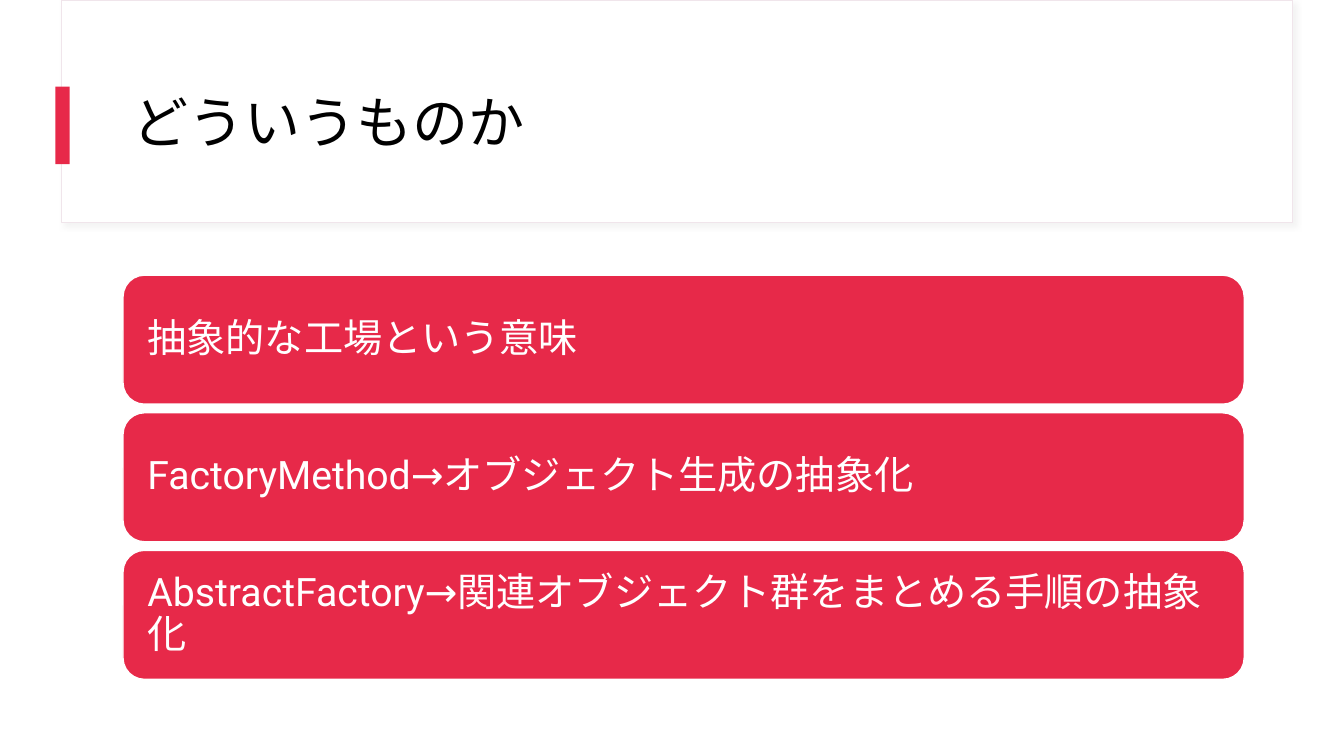
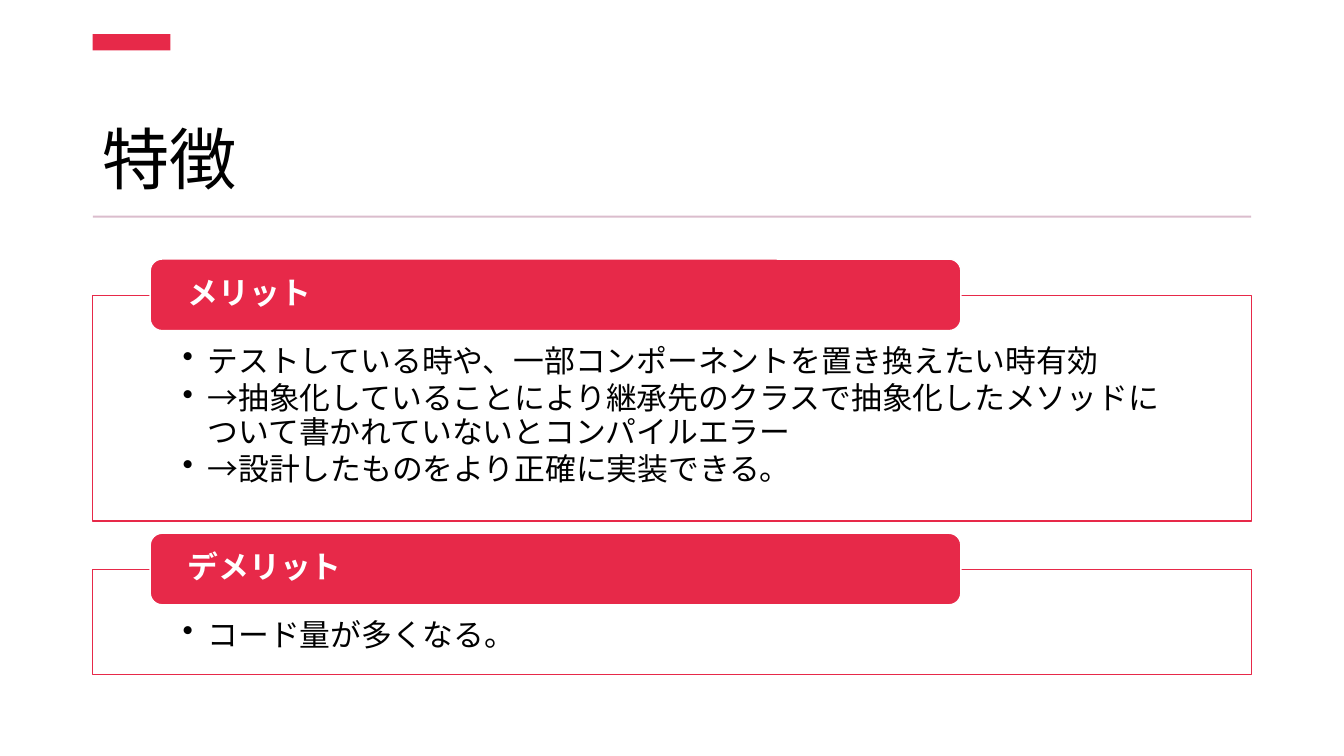
import pptx
import pptx.util
import pptx.dml.color
import pptx.enum.dml
import pptx.enum.lang
import pptx.enum.shapes
import pptx.enum.text
import pptx.oxml
import pptx.oxml.ns
from lxml import etree

Inches = pptx.util.Inches
Pt = pptx.util.Pt
Kind = pptx.enum.shapes.MSO_SHAPE
Anchor = pptx.enum.text.MSO_ANCHOR
qn = pptx.oxml.ns.qn


class Theme:
    font = "Roboto"
    red = "E72949"
    white = "FFFFFF"
    black = "000000"
    edge = "F0E5EB"
    rule = "DBBDCD"
    shade = "D9D9D9"
    title = 40
    head = 48
    bar = 28
    body = 22


def color(code):
    return pptx.dml.color.RGBColor.from_string(code)


def write(shape, lines, size, ink=Theme.black, bold=False, anchor=Anchor.MIDDLE,
          pad=(0.1, 0.05, 0.1, 0.05), bullet=None, after=0):
    frame = shape.text_frame
    frame.word_wrap = True
    frame.vertical_anchor = anchor
    left, top, right, bottom = (Inches(side) for side in pad)
    frame.margin_left, frame.margin_top = left, top
    frame.margin_right, frame.margin_bottom = right, bottom
    for index, line in enumerate(lines):
        para = frame.add_paragraph() if index else frame.paragraphs[0]
        para.alignment = pptx.enum.text.PP_ALIGN.LEFT
        para.line_spacing = 0.9
        para.space_after = Pt(after)
        if bullet:
            props = para._p.get_or_add_pPr()
            props.set("marL", str(Inches(0.25)))
            props.set("indent", str(-Inches(0.25)))
            etree.SubElement(props, qn("a:buChar")).set("char", bullet)
        run = para.add_run()
        run.text = line
        font = run.font
        font.name, font.size, font.bold = Theme.font, Pt(size), bold
        font.color.rgb = color(ink)
        font.language_id = pptx.enum.lang.MSO_LANGUAGE_ID.JAPANESE
        east = etree.SubElement(run._r.get_or_add_rPr(), qn("a:ea"))
        east.set("typeface", Theme.font)


class Deck:
    def __init__(self):
        self.show = pptx.Presentation()
        self.show.slide_width = Inches(13.33)
        self.show.slide_height = Inches(7.5)
        self.slide = None

    def page(self):
        self.slide = self.show.slides.add_slide(self.show.slide_layouts[6])

    def box(self, area, fill, line=None, width=1, kind=Kind.RECTANGLE):
        shape = self.slide.shapes.add_shape(kind, *(Inches(n) for n in area))
        shape.shadow.inherit = False
        shape.fill.solid()
        shape.fill.fore_color.rgb = color(fill)
        if line:
            shape.line.color.rgb = color(line)
            shape.line.width = Pt(width)
        else:
            shape.line.fill.background()
        return shape

    def panel(self, area):
        shape = self.box(area, Theme.white, Theme.edge, 0.75)
        effects = shape._element.spPr.find(qn("a:effectLst"))
        shade = etree.SubElement(effects, qn("a:outerShdw"), blurRad=str(Pt(4)),
                                 dist=str(Pt(3)), dir=str(45 * 60000))
        tone = etree.SubElement(shade, qn("a:srgbClr"), val=Theme.shade)
        etree.SubElement(tone, qn("a:alpha"), val="30000")

    def title(self, text, area, size, anchor):
        shape = self.slide.shapes.add_textbox(*(Inches(n) for n in area))
        write(shape, [text], size, anchor=anchor)

    def bar(self, text, area, size, inset, bold=False):
        shape = self.box(area, Theme.red, Theme.white, kind=Kind.ROUNDED_RECTANGLE)
        write(shape, [text], size, ink=Theme.white, bold=bold,
              pad=(inset, 0, inset, 0))

    def group(self, label, points, top, height):
        frame = self.box((0.92, top, 11.49, height), Theme.white, Theme.red)
        write(frame, points, Theme.body, anchor=Anchor.TOP,
              pad=(0.89, 0.5, 0.89, 0.17), bullet="•", after=3)
        self.bar(label, (1.49, top - 0.36, 8.04, 0.71), Theme.body, 0.34, bold=True)


def about(deck):
    deck.page()
    deck.panel((0.61, 0, 12.21, 2.21))
    deck.box((0.55, 0.86, 0.14, 0.77), Theme.red)
    deck.title("どういうものか", (1.22, 0.6, 11.12, 1.29), Theme.title, Anchor.MIDDLE)
    lines = [
        "抽象的な工場という意味",
        "FactoryMethod→オブジェクト生成の抽象化",
        "AbstractFactory→関連オブジェクト群をまとめる手順の抽象化",
    ]
    for row, line in enumerate(lines):
        deck.bar(line, (1.22, 2.73 + row * 1.365, 11.12, 1.28), Theme.bar, 0.18)


def traits(deck):
    deck.page()
    deck.title("特徴", (0.92, 0.75, 11.49, 1.27), Theme.head, Anchor.BOTTOM)
    deck.box((0.92, 0.34, 0.77, 0.16), Theme.red)
    deck.box((0.92, 2.14, 11.49, 0.02), Theme.rule)
    deck.group("メリット", [
        "テストしている時や、一部コンポーネントを置き換えたい時有効",
        "→抽象化していることにより継承先のクラスで抽象化したメソッドについて書かれていないとコンパイルエラー",
        "→設計したものをより正確に実装できる。",
    ], 2.93, 2.24)
    deck.group("デメリット", ["コード量が多くなる。"], 5.65, 1.04)


def main():
    deck = Deck()
    about(deck)
    traits(deck)
    deck.show.save("out.pptx")


if __name__ == "__main__":
    main()
